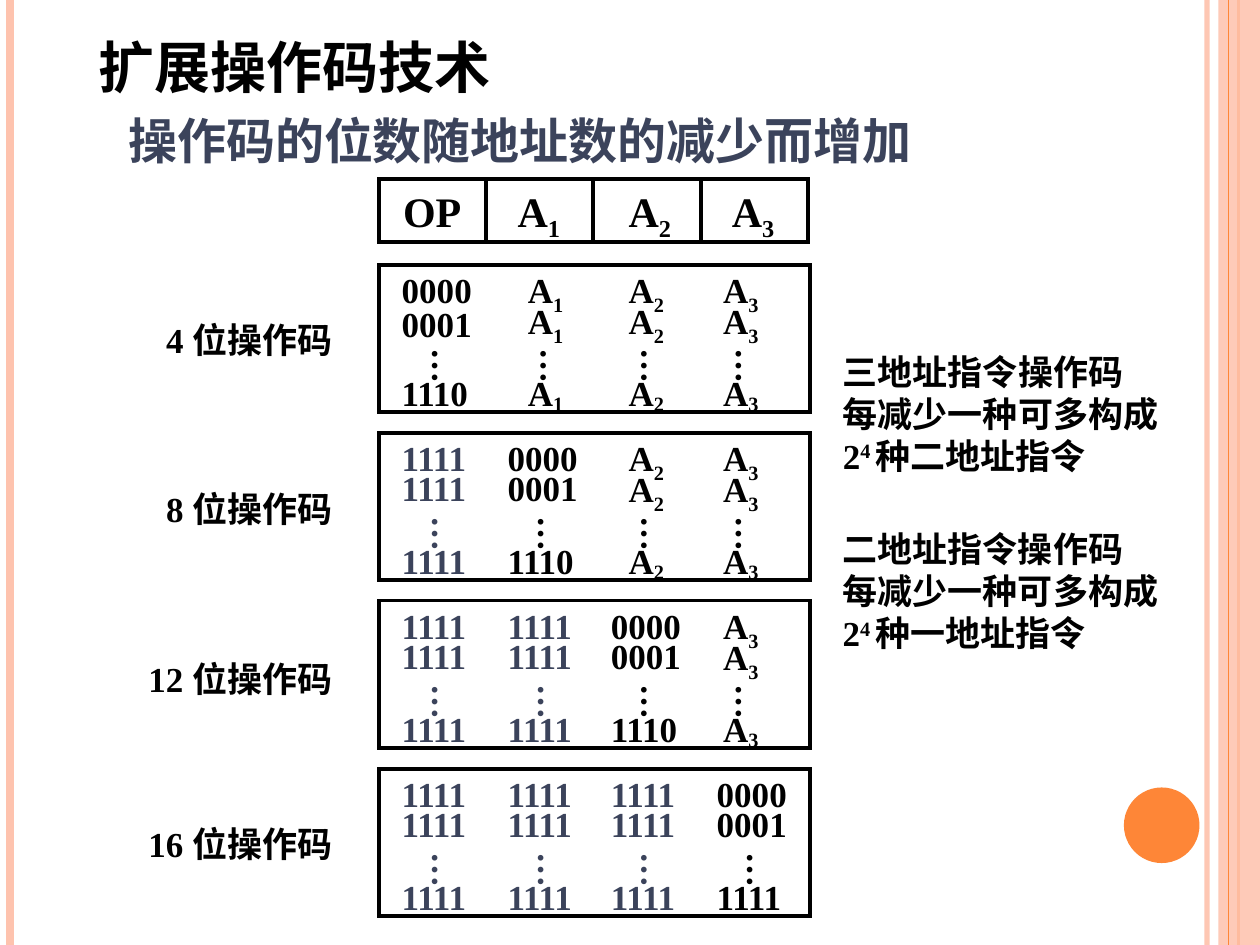
"""Build the slide on expanding opcodes."""
from lxml.etree import SubElement
from pptx import Presentation
from pptx.dml.color import RGBColor
from pptx.enum.shapes import MSO_CONNECTOR, MSO_SHAPE
from pptx.enum.text import MSO_ANCHOR, MSO_AUTO_SIZE, PP_ALIGN
from pptx.oxml.ns import qn
from pptx.util import Inches, Pt

FONT = "Times New Roman"
BLACK, NAVY, PEACH, ORANGE = "000000", "3B435B", "FEC3AE", "FE8637"
rgb = RGBColor.from_string

deck = Presentation()
deck.slide_width, deck.slide_height = Inches(10), Inches(7.5)
slide = deck.slides.add_slide(deck.slide_layouts[5])
shapes = slide.shapes


def write(place, paras, size=20, color=BLACK, wrap=False, box=None):
    """Fill a text box; each paragraph is a list of (text, baseline) runs."""
    box = box or shapes.add_textbox(0, 0, 0, 0)
    box.left, box.top, box.width, box.height = [Inches(v) for v in place]
    frame = box.text_frame
    frame.word_wrap = wrap
    frame.auto_size = MSO_AUTO_SIZE.SHAPE_TO_FIT_TEXT
    frame.vertical_anchor = MSO_ANCHOR.TOP
    for i, runs in enumerate(paras):
        para = frame.add_paragraph() if i else frame.paragraphs[0]
        para.alignment = PP_ALIGN.LEFT
        for text, base in runs:
            run = para.add_run()
            run.text = text
            run.font.name, run.font.size = FONT, Pt(size)
            run.font.bold = True
            run.font.color.rgb = rgb(color)
            if base:
                run.font._element.set("baseline", str(base * 1000))
    return frame


def draw(kind, place, fill=None):
    """Add a filled shape, or a black frame when no fill is given."""
    shape = shapes.add_shape(kind, *[Inches(v) for v in place])
    shape.shadow.inherit = False
    if fill:
        shape.fill.solid()
        shape.fill.fore_color.rgb = rgb(fill)
        shape.line.fill.background()
    else:
        shape.fill.background()
        shape.line.color.rgb = rgb(BLACK)
        shape.line.width = Pt(2.25)
        SubElement(shape._element.spPr.find(qn("a:ln")), qn("a:miter"))
    return shape


stripes = []
for x, color, width in [(9.58, PEACH, 3), (0.08, PEACH, 4.5),
                        (9.83, ORANGE, 1.5), (9.75, ORANGE, 0.75)]:
    line = shapes.add_connector(MSO_CONNECTOR.STRAIGHT, Inches(x), 0,
                                Inches(x), Inches(7.5))
    line.line.color.rgb = rgb(color)
    line.line.width = Pt(width)
    SubElement(line._element.spPr, qn("a:effectLst"))
    stripes.append(line)
band = draw(MSO_SHAPE.RECTANGLE, (9.67, 0, 0.33, 7.5), PEACH)
band._element.addnext(stripes[-1]._element)
for shape, alpha in [(stripes[0], 93), (band, 87)]:
    tint = next(shape._element.spPr.iter(qn("a:srgbClr")))
    SubElement(tint, qn("a:alpha")).set("val", str(alpha * 1000))
draw(MSO_SHAPE.OVAL, (8.92, 6.25, 0.6, 0.6), ORANGE)

write((0.68, 0.21, 3.34, 0.7), [[("扩展操作码技术", 0)]], 32, box=shapes.title)
write((0.92, 0.83, 7.15, 0.57), [[("操作码的位数随地址数的减少而增加", 0)]],
      28, NAVY, True)

heads = [(3.1, [("OP", 0)])]
for n, x in enumerate([4.01, 4.89, 5.71], 1):
    heads.append((x, [("A", 0), (str(n), -25)]))
for col, (x, runs) in enumerate(heads):
    draw(MSO_SHAPE.RECTANGLE, (3.01 + 0.85 * col, 1.42, 0.85, 0.5))
    write((x, 1.42, 0.75, 0.5), [runs], 24)

codes = [3.09, 3.93, 4.75, 5.59]
names = [None, 4.09, 4.89, 5.64]
labels = [(1.22, 2.48, "4"), (1.22, 3.82, "8"),
          (1.08, 5.17, "12"), (1.08, 6.48, "16")]
for row, (left, high, bits) in enumerate(labels):
    top = 2.1 + row * 4 / 3
    draw(MSO_SHAPE.RECTANGLE, (3.01, top, 3.42, 1.17))
    write((left, high, 2.75 - left, 0.43), [[(bits + " 位操作码", 0)]], wrap=True)
    for col in range(4):
        color = NAVY if col < row else BLACK
        if col > row:
            x, wide, dots, second = names[col], 0.49, names[col], 0.23
            cells = [[("A", 0), (str(col), base)] for base in (-25, -25, -15)]
        else:
            x, wide, dots = codes[col], 0.76, codes[col] + 0.14
            second = 0.22 if row else 0.25
            last = "1110" if row < 3 else "1111"
            texts = ["0000", "0001", last] if col == row else ["1111"] * 3
            cells = [[(text, 0)] for text in texts]
        for down, runs in zip((-0.02, second, 0.8), cells):
            write((x, top + down, wide, 0.43), [runs], color=color)
        frame = write((dots, top + 0.57, 0.53, 0.38), [[("…", 0)]], color=color)
        frame._element.bodyPr.set("vert", "eaVert")

for top, wide, high, kind, more in [(2.73, 3.41, 1.1, "三", "二"),
                                    (4.14, 2.97, 1.43, "二", "一")]:
    write((6.59, top, wide, high),
          [[(kind + "地址指令操作码", 0)], [("每减少一种可多构成", 0)],
           [("2", 0), ("4 ", 30), ("种" + more + "地址指令", 0)]], wrap=True)

deck.save("out.pptx")
